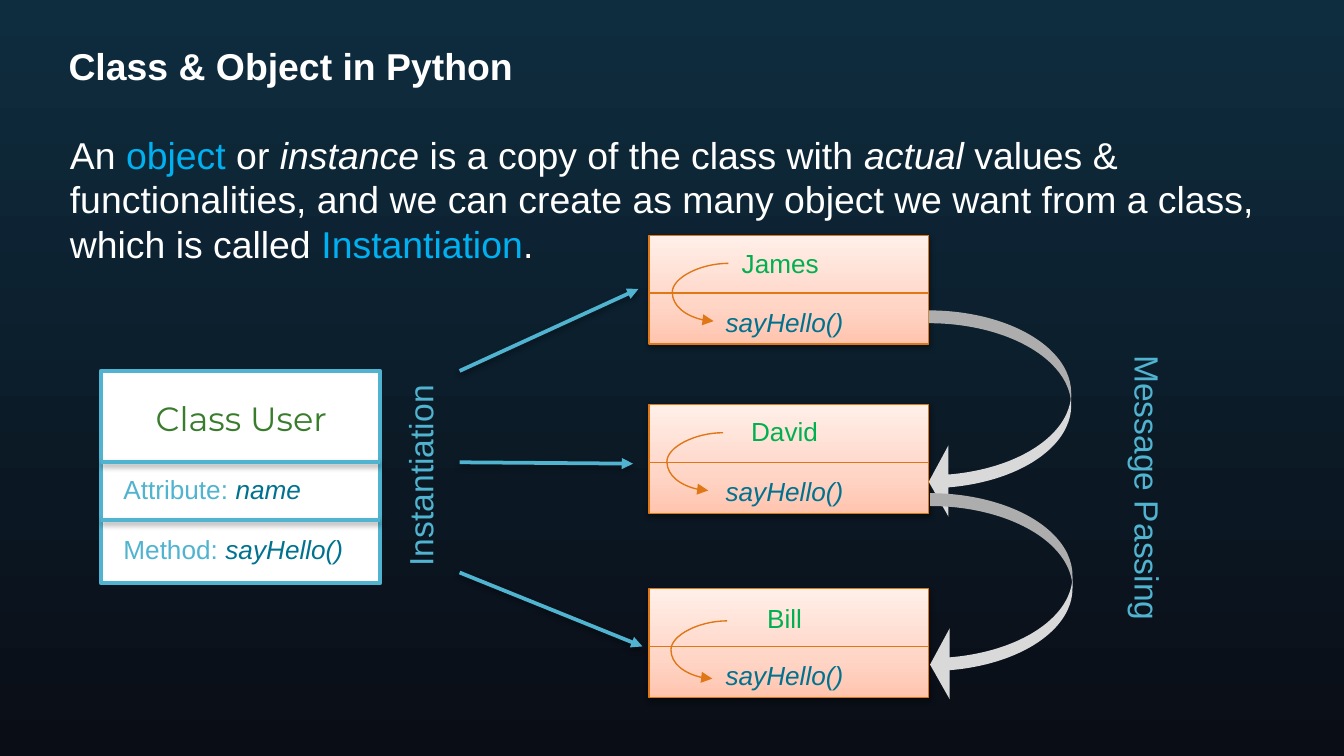
from dataclasses import dataclass
from typing import NamedTuple

from lxml import etree
from pptx import Presentation
from pptx.dml import color
from pptx.enum import shapes, text
from pptx.oxml.ns import qn
from pptx.util import Inches, Pt


@dataclass(frozen=True)
class Theme:
    font: str = "Arial"
    class_font: str = "Montserrat"
    heading: int = 20
    label: int = 18
    detail: int = 14
    thick: float = 2
    thin: float = 0.75
    white: str = "FFFFFF"
    accent: str = "00B0F0"
    blue: str = "50B3CF"
    teal: str = "00728F"
    orange: str = "DF7717"
    class_green: str = "387C2C"
    name_green: str = "00B050"
    silver: str = "D9D9D9"
    backdrop: tuple = ((0, "0E2D3F"), (100, "0A0D16"))
    peach: tuple = ((0, "FFC4AE"), (35, "FFD5C6"), (100, "FFEFE9"))


THEME = Theme()


class Area(NamedTuple):
    left: float
    top: float
    width: float
    height: float

    def lengths(self):
        return [Inches(value) for value in self]


class Span(NamedTuple):
    text: str
    color: str
    italic: bool = False
    bold: bool = False


@dataclass(frozen=True)
class Instance:
    name: str
    top: float
    name_left: float
    name_top: float
    name_width: float
    loop_left: float
    loop_top: float


INSTANCES = [
    Instance("David", 3.01, 5.49, 3.04, 0.70, 5.38, 3.22),
    Instance("Bill", 4.38, 5.61, 4.43, 0.46, 5.41, 4.62),
    Instance("James", 1.75, 5.42, 1.79, 0.78, 5.42, 1.96),
]
CLASS_BOX = Area(0.75, 2.76, 2.08, 1.58)
INSTANCE_LEFT, INSTANCE_WIDTH, INSTANCE_HEIGHT = 4.83, 2.08, 0.81
DIVIDER_OFFSET, METHOD_OFFSET = 0.43, 0.48
METHOD = Span("sayHello()", THEME.teal, italic=True)


def rgb(value: str) -> color.RGBColor:
    return color.RGBColor.from_string(value)


def fill_gradient(fill, owner, stops, angle: int) -> None:
    """Fill with any number of stops; owner is the XML that holds the fill."""
    fill.gradient()
    fill.gradient_angle = angle
    stop_list = owner.find(".//" + qn("a:gsLst"))
    for old_stop in list(stop_list):
        stop_list.remove(old_stop)
    for position, value in stops:
        stop = etree.SubElement(stop_list, qn("a:gs"), pos=str(position * 1000))
        etree.SubElement(stop, qn("a:srgbClr"), val=value)


def set_effects(shape, shadow: bool) -> None:
    """Replace the theme's shadow by a soft one or none; call after fill and line are set."""
    effects = etree.SubElement(shape.element.find(qn("p:spPr")), qn("a:effectLst"))
    if shadow:
        outer = etree.SubElement(effects, qn("a:outerShdw"), blurRad=str(Pt(3.1)),
                                 dist=str(Pt(1.6)), dir="5400000", rotWithShape="0")
        tone = etree.SubElement(outer, qn("a:srgbClr"), val="000000")
        etree.SubElement(tone, qn("a:alpha"), val="38000")


def write(frame, *spans: Span, size: int, font: str = THEME.font, align=text.PP_ALIGN.LEFT):
    para = frame.paragraphs[0]
    para.alignment = align
    for span in spans:
        run = para.add_run()
        run.text = span.text
        run.font.name = font
        run.font.size = Pt(size)
        run.font.color.rgb = rgb(span.color)
        run.font.italic = span.italic
        run.font.bold = span.bold
    return para


def add_label(page, area: Area, *spans: Span, wrap: bool = False, rotation: int = 0, **style):
    box = page.shapes.add_textbox(*area.lengths())
    box.rotation = rotation
    box.text_frame.word_wrap = wrap
    box.text_frame.auto_size = text.MSO_AUTO_SIZE.SHAPE_TO_FIT_TEXT
    write(box.text_frame, *spans, **style)


def add_line(page, start, end, tone: str, width: float, *, arrow: bool = False,
             shadow: bool = False, kind=shapes.MSO_CONNECTOR.STRAIGHT):
    line = page.shapes.add_connector(kind, *(Inches(value) for value in (*start, *end)))
    line.line.color.rgb = rgb(tone)
    line.line.width = Pt(width)
    if arrow:
        etree.SubElement(line.element.find(".//" + qn("a:ln")), qn("a:tailEnd"), type="triangle")
    set_effects(line, shadow)
    return line


def add_divider(page, left: float, top: float, width: float, *style, **options) -> None:
    add_line(page, (left, top), (left + width, top), *style, **options)


def add_text(page) -> None:
    title, body = page.shapes.title, page.placeholders[1]
    for holder, area in ((title, Area(0.41, 0.27, 9.18, 0.5)), (body, Area(0.42, 0.93, 9.17, 4.3))):
        holder.left, holder.top, holder.width, holder.height = area.lengths()
        holder.text_frame.word_wrap = True
        holder.text_frame.auto_size = text.MSO_AUTO_SIZE.NONE
    title.text_frame.vertical_anchor = text.MSO_ANCHOR.MIDDLE
    title.text_frame.margin_bottom = Inches(0.11)
    write(title.text_frame, Span("Class & Object in Python", THEME.white, bold=True),
          size=THEME.heading)
    para = write(
        body.text_frame,
        Span("An ", THEME.white), Span("object", THEME.accent), Span(" or ", THEME.white),
        Span("instance", THEME.white, italic=True),
        Span(" is a copy of the class with ", THEME.white),
        Span("actual", THEME.white, italic=True),
        Span(" values & functionalities, and we can create as many object we want "
             "from a class, which is called ", THEME.white),
        Span("Instantiation", THEME.accent), Span(".", THEME.white), size=THEME.heading)
    properties = para._p.get_or_add_pPr()
    properties.set("marL", "0")
    properties.set("indent", "0")
    etree.SubElement(properties, qn("a:buNone"))


def add_class(page) -> None:
    box = page.shapes.add_shape(shapes.MSO_SHAPE.RECTANGLE, *CLASS_BOX.lengths())
    box.fill.solid()
    box.fill.fore_color.rgb = rgb(THEME.white)
    box.line.color.rgb = rgb(THEME.blue)
    box.line.width = Pt(THEME.thick)
    set_effects(box, False)
    add_label(page, Area(0.95, 2.91, 1.69, 0.4), Span("Class User", THEME.class_green),
              size=THEME.label, font=THEME.class_font, align=text.PP_ALIGN.CENTER)
    add_label(page, Area(0.82, 3.47, 1.53, 0.34), Span("Attribute: ", THEME.blue),
              Span("name", THEME.teal, italic=True), size=THEME.detail)
    add_label(page, Area(0.82, 3.92, 1.84, 0.34), Span("Method: ", THEME.blue), METHOD,
              size=THEME.detail)
    for top in (3.44, 3.87):
        add_divider(page, CLASS_BOX.left, top, CLASS_BOX.width, THEME.blue, THEME.thick,
                    shadow=True)


def add_instance(page, item: Instance) -> None:
    area = Area(INSTANCE_LEFT, item.top, INSTANCE_WIDTH, INSTANCE_HEIGHT)
    box = page.shapes.add_shape(shapes.MSO_SHAPE.RECTANGLE, *area.lengths())
    fill_gradient(box.fill, box.element, THEME.peach, angle=90)
    box.line.color.rgb = rgb(THEME.orange)
    box.line.width = Pt(THEME.thin)
    set_effects(box, True)
    add_label(page, Area(item.name_left, item.name_top, item.name_width, 0.34),
              Span(item.name, THEME.name_green), size=THEME.detail)
    add_label(page, Area(5.3, item.top + METHOD_OFFSET, 1.08, 0.34), METHOD, size=THEME.detail)
    add_divider(page, area.left, item.top + DIVIDER_OFFSET, area.width, THEME.orange, THEME.thin)


def add_call_loop(page, item: Instance) -> None:
    """Curve from the name out to the left and back to the method."""
    loop = add_line(page, (item.loop_left, item.loop_top),
                    (item.loop_left - 0.11, item.loop_top + 0.43), THEME.orange, THEME.thin,
                    arrow=True, kind=shapes.MSO_CONNECTOR.CURVE)
    guides = loop.element.find(".//" + qn("a:avLst"))
    etree.SubElement(guides, qn("a:gd"), name="adj1", fmla="val 380000")


def add_message_arrow(page, area: Area) -> None:
    arrow = page.shapes.add_shape(shapes.MSO_SHAPE.CURVED_DOWN_ARROW, *area.lengths())
    arrow.rotation = 90
    for index, value in enumerate((0.09, 0.5, 0.138)):
        arrow.adjustments[index] = value
    arrow.fill.solid()
    arrow.fill.fore_color.rgb = rgb(THEME.silver)
    arrow.line.fill.background()
    set_effects(arrow, False)


def main() -> None:
    deck = Presentation()
    deck.slide_width = Inches(10)
    deck.slide_height = deck.slide_width * 9 // 16
    page = deck.slides.add_slide(deck.slide_layouts[1])
    fill_gradient(page.background.fill, page.element, THEME.backdrop, angle=270)
    add_text(page)
    add_class(page)
    for item in INSTANCES:
        add_instance(page, item)
    for start_top, end in ((2.76, (4.75, 2.15)), (3.44, (4.71, 3.45)), (4.26, (4.78, 4.81))):
        add_line(page, (3.42, start_top), end, THEME.blue, THEME.thick, arrow=True, shadow=True)
    side_label = dict(wrap=True, size=THEME.label, align=text.PP_ALIGN.CENTER)
    add_label(page, Area(2.29, 3.34, 1.67, 0.4), Span("Instantiation", THEME.blue),
              rotation=270, **side_label)
    for left, top in ((6.67, 2.55), (6.68, 3.91)):
        add_message_arrow(page, Area(left, top, 1.54, 1.06))
    add_label(page, Area(7.15, 3.43, 2.78, 0.4), Span("Message Passing", THEME.blue),
              rotation=90, **side_label)
    for item in INSTANCES:
        add_call_loop(page, item)
    deck.save("out.pptx")


if __name__ == "__main__":
    main()
